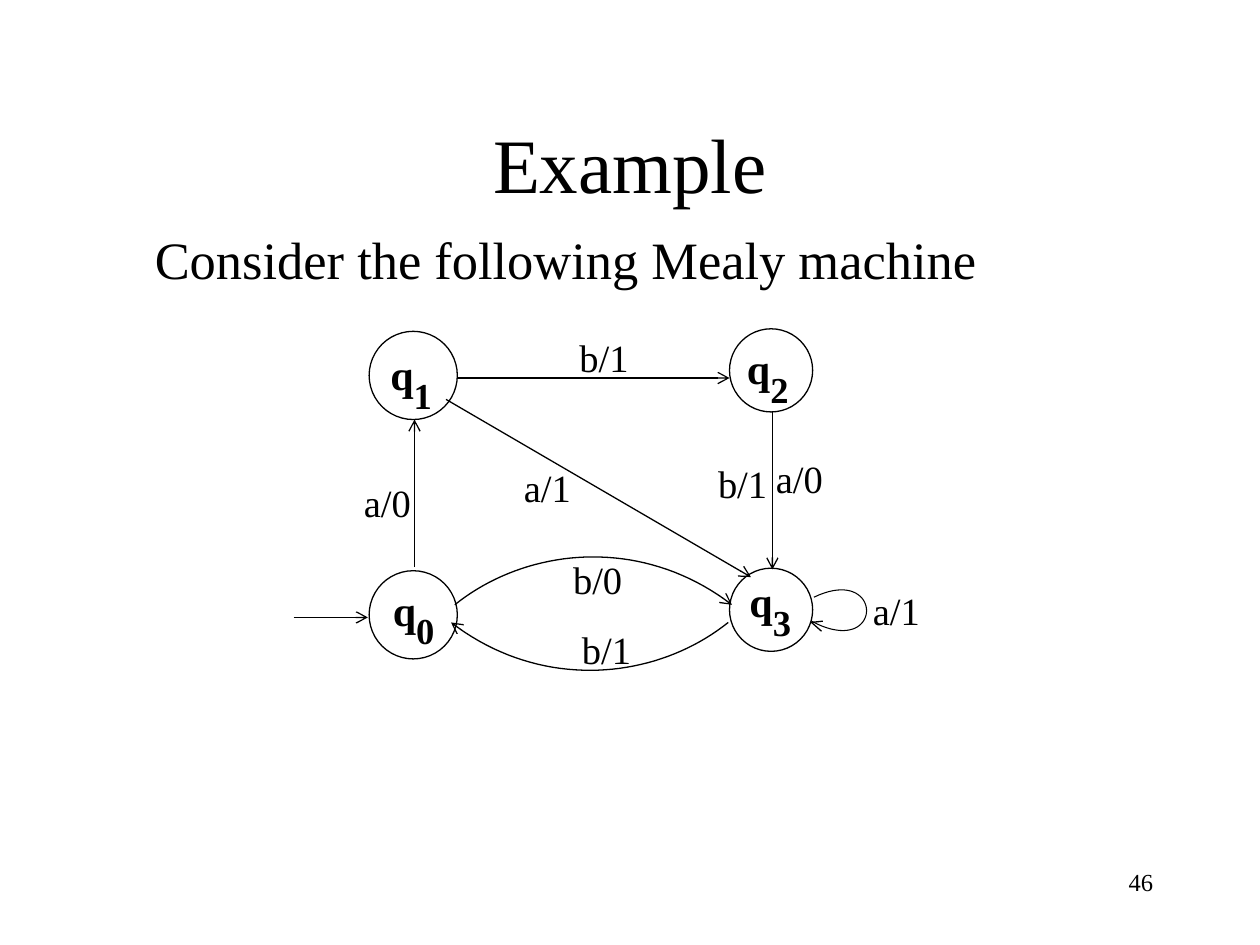
from dataclasses import dataclass

from lxml.etree import SubElement
from pptx import Presentation
from pptx.dml.color import RGBColor
from pptx.enum.shapes import MSO_CONNECTOR, MSO_SHAPE
from pptx.enum.text import MSO_ANCHOR, PP_ALIGN
from pptx.oxml.ns import qn
from pptx.util import Inches, Pt


@dataclass(frozen=True)
class Theme:
    font: str = "Times New Roman"
    ink: RGBColor = RGBColor(0, 0, 0)
    paper: RGBColor = RGBColor(255, 255, 255)
    title: int = 44
    intro: int = 30
    state: int = 24
    subscript: int = 36
    label: int = 22
    number: int = 14
    stroke: float = 0.74
    thin_stroke: float = 0.6


THEME = Theme()

STATES = [
    ("0", 2.93, 4.53, 0.7, 3.02, 4.42),
    ("1", 2.93, 2.63, 0.7, 3, 2.55),
    ("2", 5.79, 2.61, 0.66, 5.83, 2.5),
    ("3", 5.79, 4.51, 0.66, 5.85, 4.35),
]
STRAIGHT = [
    ((2.33, 4.9), (2.92, 4.9)),
    ((3.29, 4.5), (3.29, 3.33)),
    ((3.63, 3), (5.79, 3)),
    ((3.54, 3.17), (5.96, 4.58)),
    ((6.13, 3.27), (6.13, 4.52)),
]
CURVED = [
    ((3.61, 4.8), (4.17, 4.35), (5.08, 4.24), (5.81, 4.8)),
    ((5.78, 4.94), (5.22, 5.39), (4.31, 5.5), (3.58, 4.94)),
]
LOOP = ((6.46, 4.74), (7.02, 4.47), (7.02, 5.24), (6.44, 4.93))
LOOP_HEAD = [(6.53, 4.93), (6.44, 4.94), (6.52, 5.01)]
LABELS = [
    ("a/0", 2.79, 3.75),
    ("b/1", 4.5, 2.6),
    ("a/1", 4.06, 3.63),
    ("b/1", 5.6, 3.6),
    ("a/0", 6.06, 3.56),
    ("b/0", 4.45, 4.36),
    ("b/1", 4.52, 4.92),
    ("a/1", 6.83, 4.61),
]


def style_run(run, size, bold=False):
    run.font.name = THEME.font
    run.font.size = Pt(size)
    run.font.bold = bold
    run.font.color.rgb = THEME.ink


def add_text(slide, text, left, top, width, height, size, align=PP_ALIGN.LEFT):
    box = slide.shapes.add_textbox(
        Inches(left), Inches(top), Inches(width), Inches(height))
    box.text_frame.word_wrap = True
    box.text_frame.text = text
    paragraph = box.text_frame.paragraphs[0]
    paragraph.alignment = align
    style_run(paragraph.runs[0], size)
    return paragraph


def add_title(slide, text):
    title = slide.shapes.title
    title.left, title.top = Inches(0.75), Inches(0.67)
    title.width, title.height = Inches(8.5), Inches(1.25)
    title.text_frame.text = text
    title.text_frame.vertical_anchor = MSO_ANCHOR.MIDDLE
    heading = title.text_frame.paragraphs[0]
    heading.alignment = PP_ALIGN.CENTER
    style_run(heading.runs[0], THEME.title)


def draw_stroke(shape, width, arrow=False):
    shape.line.color.rgb = THEME.ink
    shape.line.width = Pt(width)
    if arrow:
        SubElement(shape.line._get_or_add_ln(), qn("a:tailEnd"), type="arrow")


def add_state(slide, index, left, top, size, label_left, label_top):
    circle = slide.shapes.add_shape(
        MSO_SHAPE.OVAL, Inches(left), Inches(top), Inches(size), Inches(size))
    circle.shadow.inherit = False
    circle.fill.solid()
    circle.fill.fore_color.rgb = THEME.paper
    draw_stroke(circle, THEME.stroke)
    name = add_text(slide, "q", label_left, label_top, 0.96, 0.46, THEME.state)
    name.runs[0].font.bold = True
    subscript = name.add_run()
    subscript.text = index
    style_run(subscript, THEME.subscript, bold=True)
    subscript.font._element.set("baseline", "-30000")


def add_arrow(slide, start, end):
    arrow = slide.shapes.add_connector(
        MSO_CONNECTOR.STRAIGHT, *map(Inches, start + end))
    draw_stroke(arrow, THEME.stroke, arrow=True)
    SubElement(arrow._element.spPr, qn("a:effectLst"))


def add_outline(slide, points, width, arrow=False):
    first, *rest = [(Inches(x), Inches(y)) for x, y in points]
    builder = slide.shapes.build_freeform(*first)
    builder.add_line_segments(rest, close=False)
    outline = builder.convert_to_shape()
    outline.shadow.inherit = False
    outline.fill.background()
    draw_stroke(outline, width, arrow)


def bezier(controls, steps=40):
    points = []
    for step in range(steps + 1):
        t = step / steps
        weights = ((1 - t) ** 3, 3 * t * (1 - t) ** 2, 3 * t ** 2 * (1 - t), t ** 3)
        points.append(tuple(
            sum(w * value for w, value in zip(weights, axis))
            for axis in zip(*controls)))
    return points


def main():
    deck = Presentation()
    deck.slide_width, deck.slide_height = Inches(10), Inches(7.5)
    slide = deck.slides.add_slide(deck.slide_layouts[5])
    add_title(slide, "Example")
    add_text(slide, "Consider the following Mealy machine",
             1.13, 1.75, 8.12, 0.6, THEME.intro)
    for state in STATES:
        add_state(slide, *state)
    for start, end in STRAIGHT:
        add_arrow(slide, start, end)
    for controls in CURVED:
        add_outline(slide, bezier(controls), THEME.stroke, arrow=True)
    add_outline(slide, bezier(LOOP), THEME.thin_stroke)
    add_outline(slide, LOOP_HEAD, THEME.stroke)
    for text, left, top in LABELS:
        add_text(slide, text, left, top, 1.01, 0.41, THEME.label)
    add_text(slide, "46", 7.17, 6.83, 2.08, 0.5, THEME.number, PP_ALIGN.RIGHT)
    deck.save("out.pptx")


main()
